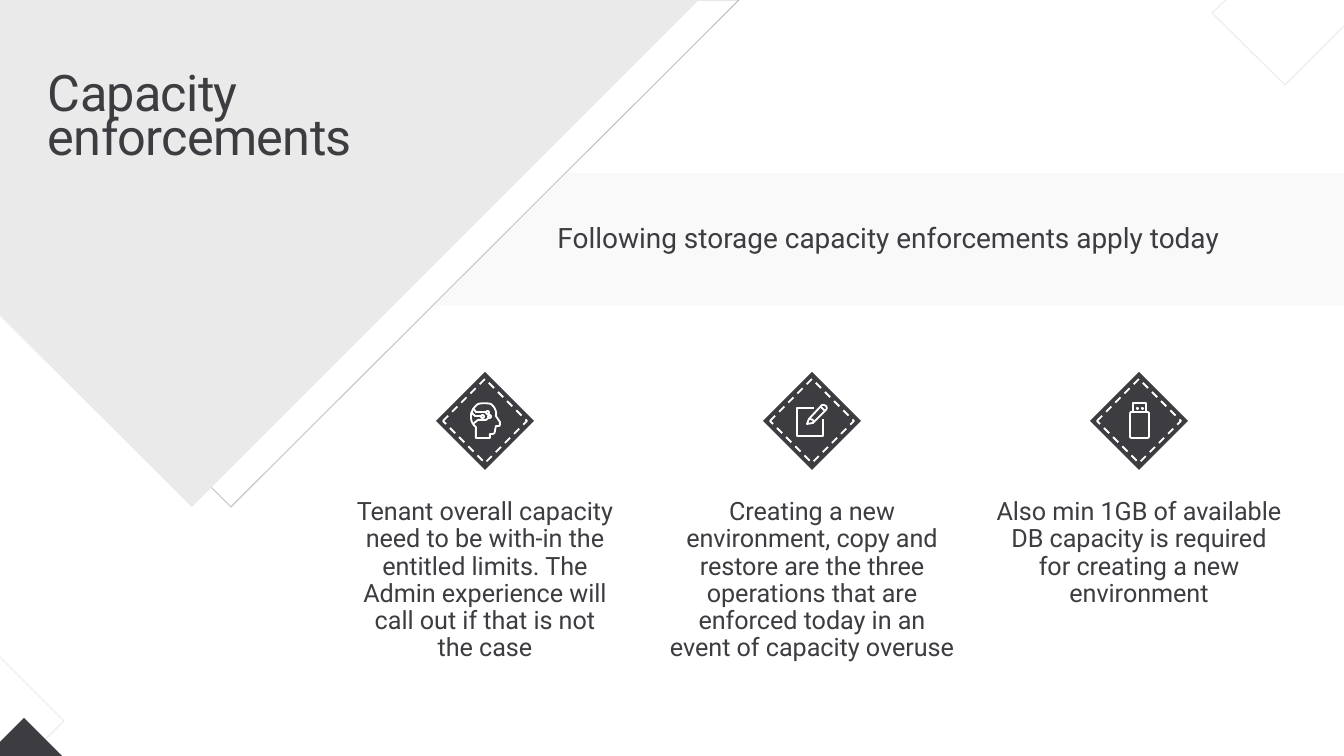
import pptx
import pptx.dml.color
import pptx.enum.dml
import pptx.enum.shapes
import pptx.enum.text
import pptx.oxml
import pptx.oxml.ns
import pptx.util

PX = 914400 / 134.4
SLIDE_W, SLIDE_H = 1344, 756
DARK, WHITE, PALE, GREY = "3C3C41", "FFFFFF", "EAEAEA", "BFBFBF"
FONT = "Roboto"
PRESET = pptx.enum.shapes.MSO_SHAPE
ALIGN = pptx.enum.text.PP_ALIGN
ANCHOR = pptx.enum.text.MSO_ANCHOR


def emu(px):
    return pptx.util.Emu(round(px * PX))


def rgb(value):
    return pptx.dml.color.RGBColor.from_string(value)


def paint(shape, fill=None, line=None, weight=1, dash=False):
    shape.shadow.inherit = False
    if fill:
        shape.fill.solid()
        shape.fill.fore_color.rgb = rgb(fill)
    else:
        shape.fill.background()
    if line:
        shape.line.color.rgb = rgb(line)
        shape.line.width = pptx.util.Pt(weight)
        if dash:
            shape.line.dash_style = pptx.enum.dml.MSO_LINE.DASH
    else:
        shape.line.fill.background()
    return shape


def preset(shapes, kind, left, top, width, height, **style):
    shape = shapes.add_shape(kind, emu(left), emu(top), emu(width), emu(height))
    return paint(shape, **style)


def flatten(steps, samples=8):
    """Turn points and six-number cubic curves into a list of points."""
    points = [steps[0]]
    for step in steps[1:]:
        if len(step) == 2:
            points.append(step)
            continue
        x0, y0 = points[-1]
        x1, y1, x2, y2, x3, y3 = step
        for i in range(1, samples + 1):
            t = i / samples
            weights = (1 - t) ** 3, 3 * t * (1 - t) ** 2, 3 * t * t * (1 - t), t ** 3
            points.append((sum(w * x for w, x in zip(weights, (x0, x1, x2, x3))),
                           sum(w * y for w, y in zip(weights, (y0, y1, y2, y3)))))
    return points


def outline(shapes, steps, left=0, top=0, close=False, **style):
    points = [((left + x) * PX, (top + y) * PX) for x, y in flatten(steps)]
    builder = shapes.build_freeform(*points[0], scale=1.0)
    builder.add_line_segments(points[1:], close=close)
    return paint(builder.convert_to_shape(), **style)


def write(shape, text, size, align, spacing, anchor=ANCHOR.TOP):
    frame = shape.text_frame
    frame.word_wrap = True
    frame.vertical_anchor = anchor
    frame.margin_left = frame.margin_right = frame.margin_top = frame.margin_bottom = 0
    paragraph = frame.paragraphs[0]
    paragraph.text = text
    paragraph.alignment = align
    paragraph.line_spacing = spacing
    for run in paragraph.runs:
        run.font.name = FONT
        run.font.size = pptx.util.Pt(size)
        run.font.color.rgb = rgb(DARK)
    return paragraph


def backdrop(shapes):
    outline(shapes, [(40, 0), (739, 0), (231, 507), (40, 316)], close=True, line=GREY, weight=0.5)
    outline(shapes, [(0, 0), (699, 0), (192, 507), (0, 316)], close=True, fill=PALE)


def heading(title, left, top, width, height):
    title.left, title.top, title.width, title.height = map(emu, (left, top, width, height))
    paragraph = write(title, "Capacity enforcements", 27, ALIGN.LEFT, pptx.util.Pt(23.5))
    title.text_frame.auto_size = pptx.enum.text.MSO_AUTO_SIZE.SHAPE_TO_FIT_TEXT
    paragraph.runs[0].font._element.set("spc", "-40")
    tree = title.element.getparent()
    tree.append(title.element)  # in front of the backdrop


def band(shapes, left, top, width, height):
    banner = outline(shapes, [(height, 0), (width, 0), (width, height), (0, height)],
                     left, top, close=True, fill="F2F2F2")
    color = banner.element.spPr.find(".//" + pptx.oxml.ns.qn("a:srgbClr"))
    color.append(pptx.oxml.parse_xml(
        f'<a:alpha {pptx.oxml.ns.nsdecls("a")} val="45000"/>'))
    write(banner, "Following storage capacity enforcements apply today", 15,
          ALIGN.CENTER, 0.9, ANCHOR.MIDDLE)


def corners(shapes):
    group = shapes.add_group_shape().shapes
    preset(group, PRESET.DIAMOND, -160, 609, 224, 224, line=PALE, weight=0.5)
    preset(group, PRESET.DIAMOND, -15, 718, 78, 78, fill=DARK)
    outline(shapes, [(1344, 26), (1285, 85), (1212, 13), (1226, 0)], line=PALE, weight=0.5)


def head_icon(shapes, left, top):
    outline(shapes, [(64, 50), (60, 44), (61, 40, 59, 35, 55, 32), (51, 31, 46, 31, 42, 32),
                     (38, 35, 35, 40, 35, 44), (35, 48, 36, 52, 40, 55), (40, 66), (54, 66),
                     (54, 62), (56, 62), (58, 62, 59, 61, 59, 59), (60, 54), (63, 54),
                     (64, 54, 64, 53, 64, 50)], left, top, close=True, line=WHITE)
    for circuit in ([(37, 36), (40, 40), (50, 40)], [(35, 40), (39, 44), (46, 44)],
                    [(37, 52), (42, 48), (50, 48), (54, 45)]):
        outline(shapes, circuit, left, top, line=WHITE)
    for x, y in (50, 39), (45, 43), (52, 43):
        preset(shapes, PRESET.OVAL, left + x, top + y, 3, 3, line=WHITE)


def edit_icon(shapes, left, top):
    outline(shapes, [(60, 47), (60, 64), (34, 64), (34, 36), (51, 36)], left, top, line=WHITE)
    outline(shapes, [(50, 51), (44, 52), (46, 47), (59, 33), (60, 33, 62, 33, 63, 34),
                     (64, 35, 64, 37, 63, 38)], left, top, close=True, line=WHITE)
    outline(shapes, [(58, 35), (62, 39)], left, top, line=WHITE)
    outline(shapes, [(50, 51), (50, 51, 51, 50, 50, 48), (48, 47, 46, 47, 46, 47)],
            left, top, line=WHITE)


def drive_icon(shapes, left, top):
    body = preset(shapes, PRESET.ROUNDED_RECTANGLE, left + 40, top + 40, 19, 26, line=WHITE)
    body.adjustments[0] = 0.08
    outline(shapes, [(56, 40), (56, 31), (43, 31), (43, 40)], left, top, line=WHITE)
    for x in 47, 52:
        preset(shapes, PRESET.RECTANGLE, left + x, top + 36, 1, 1, line=WHITE)


def rule_column(shapes, left, top, width, draw_icon, text):
    badge, inset = 98, 7
    badge_left = left + (width - badge) // 2
    group = shapes.add_group_shape().shapes
    preset(group, PRESET.DIAMOND, badge_left, top, badge, badge, fill=DARK)
    preset(group, PRESET.DIAMOND, badge_left + inset, top + inset,
           badge - 2 * inset, badge - 2 * inset, line=WHITE, dash=True)
    draw_icon(group, badge_left, top)
    caption = shapes.add_textbox(emu(left), emu(top + 127), emu(width), emu(140))
    write(caption, text, 13.5, ALIGN.CENTER, 0.9).space_after = pptx.util.Pt(4.4)


RULES = [
    (head_icon, "Tenant overall capacity\nneed to be with-in the entitled limits. The\n"
                "Admin experience will\ncall out if that is not\nthe case"),
    (edit_icon, "Creating a new environment, copy and restore are the three operations "
                "that are enforced today in an\nevent of capacity overuse"),
    (drive_icon, "Also min 1GB of available DB capacity is required\n"
                 "for creating a new environment"),
]


def main():
    deck = pptx.Presentation()
    deck.slide_width, deck.slide_height = emu(SLIDE_W), emu(SLIDE_H)
    slide = deck.slides.add_slide(deck.slide_layouts[5])
    shapes = slide.shapes
    backdrop(shapes)
    heading(shapes.title, 48, 78, 399, 90)
    band(shapes, 433, 173, SLIDE_W - 433, 133)
    corners(shapes)
    for i, (draw_icon, text) in enumerate(RULES):
        rule_column(shapes, 332 + 327 * i, 372, 306, draw_icon, text)
    deck.save("out.pptx")


if __name__ == "__main__":
    main()
